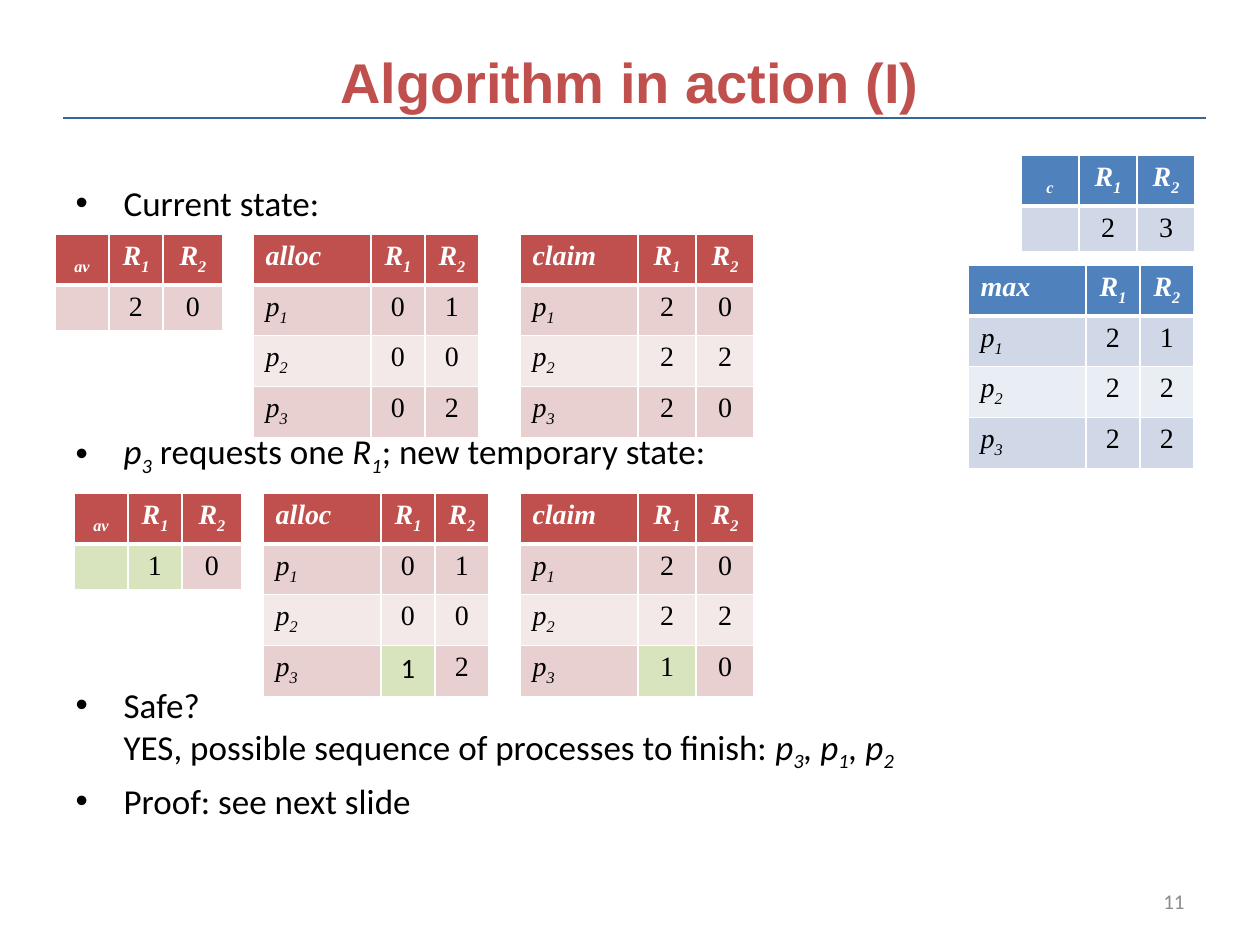
from lxml import etree
from pptx import Presentation
from pptx.dml.color import RGBColor
from pptx.enum.shapes import MSO_CONNECTOR
from pptx.enum.text import MSO_ANCHOR, MSO_AUTO_SIZE, PP_ALIGN
from pptx.oxml.ns import qn
from pptx.util import Emu, Pt

STRAIGHT = MSO_CONNECTOR.STRAIGHT
MIDDLE = MSO_ANCHOR.MIDDLE
NO_AUTOFIT = MSO_AUTO_SIZE.NONE
LEFT, CENTER, RIGHT = PP_ALIGN.LEFT, PP_ALIGN.CENTER, PP_ALIGN.RIGHT
EMU_PER_PX = 914400 / 126
COLORS = {
    "black": "000000", "white": "FFFFFF", "gray": "8C8C8C", "rule": "336699",
    "red": "C0504D", "red_dark": "E8D0D0", "red_light": "F4E9E9",
    "blue": "4F81BD", "blue_dark": "D0D8E8", "blue_light": "E9EDF4",
    "changed": "D7E4BD",
}


def px(length):
    return Emu(round(length * EMU_PER_PX))


# *...* is italic, _..._ is subscript
def add_runs(paragraph, markup, color, **formats):
    for italic_index, part in enumerate(markup.split("*")):
        for subscript_index, text in enumerate(part.split("_")):
            if not text:
                continue
            run = paragraph.add_run()
            run.text = text
            run.font.color.rgb = RGBColor.from_string(COLORS[color])
            for name, value in {**formats, "italic": italic_index % 2 == 1}.items():
                setattr(run.font, name, value)
            if subscript_index % 2:
                run.font._element.set("baseline", "-25000")


presentation = Presentation()
presentation.slide_width = px(1260)
presentation.slide_height = px(945)
slide = presentation.slides.add_slide(presentation.slide_layouts[1])

rule = slide.shapes.add_connector(STRAIGHT, px(63), px(118), px(1206), px(118))
rule.line.color.rgb = RGBColor.from_string(COLORS["rule"])
rule.line.width = Pt(1.5)
etree.SubElement(rule._element.spPr, qn("a:effectLst"))

title = slide.shapes.title
body = slide.placeholders[1]
number = slide.shapes.add_textbox(px(903), px(876), px(294), px(50))
for shape, box in (
    (title, (63, 26, 1134, 110)),
    (body, (63, 175, 1134, 714)),
):
    shape.left, shape.top, shape.width, shape.height = map(px, box)
    shape.text_frame.auto_size = NO_AUTOFIT

for shape, text, alignment, color, formats in (
    (title, "Algorithm in action (I)", CENTER, "red",
     {"name": "Arial", "size": Pt(32), "bold": True}),
    (number, "11", RIGHT, "gray", {"name": "Calibri", "size": Pt(12)}),
):
    shape.text_frame.word_wrap = True
    shape.text_frame.vertical_anchor = MIDDLE
    paragraph = shape.text_frame.paragraphs[0]
    paragraph.alignment = alignment
    add_runs(paragraph, text, color, **formats)

BULLETS = [
    (7, ["Current state:"]),
    (206, ["*p_3_* requests one *R_1_*; new temporary state:"]),
    (206, ["Safe? ",
           "YES, possible sequence of processes to finish: *p_3_, p_1_, p_2_*"]),
    (7, ["Proof: see next slide"]),
]
for index, (space, lines) in enumerate(BULLETS):
    frame = body.text_frame
    paragraph = frame.add_paragraph() if index else frame.paragraphs[0]
    paragraph.space_before = px(space)
    properties = paragraph._p.get_or_add_pPr()
    properties.set("marL", str(px(48)))
    properties.set("indent", str(px(-48)))
    etree.SubElement(properties, qn("a:buFont"), typeface="Arial")
    etree.SubElement(properties, qn("a:buChar"), char="•")
    for line_index, line in enumerate(lines):
        if line_index:
            paragraph.add_line_break()
        add_runs(paragraph, line, "black", name="Calibri", size=Pt(20))

ROW_HEIGHT = 46
VECTOR, MATRIX, WIDE_MATRIX = (54, 54, 60), (118, 54, 54), (118, 58, 58)
TABLES = [
    ("_c_", "blue", 1021, 155, (58, 58, 58), ["23"], []),
    ("max", "blue", 968, 265, MATRIX, ["21", "22", "22"], []),
    ("_av_", "red", 55, 234, VECTOR, ["20"], []),
    ("alloc", "red", 253, 234, MATRIX, ["01", "00", "02"], []),
    ("claim", "red", 520, 234, WIDE_MATRIX, ["20", "22", "20"], []),
    ("_av_", "red", 74, 493, VECTOR, ["10"], [(1, 0), (1, 1)]),
    ("alloc", "red", 263, 493, MATRIX, ["01", "00", "12"], [(3, 1)]),
    ("claim", "red", 520, 493, WIDE_MATRIX, ["20", "22", "10"], [(3, 1)]),
]
for name, hue, left, top, widths, values, changed in TABLES:
    is_vector = len(values) == 1
    rows = [[f"*{name}*", "*R_1_*", "*R_2_*"]]
    for process, digits in enumerate(values, 1):
        rows.append(["" if is_vector else f"*p_{process}_*", *digits])
    table = slide.shapes.add_table(
        len(rows), 3, px(left), px(top), px(sum(widths)), px(ROW_HEIGHT * len(rows))
    ).table
    for column, width in zip(table.columns, widths):
        column.width = px(width)
    for row_index, row in enumerate(rows):
        table.rows[row_index].height = px(ROW_HEIGHT)
        is_header = row_index == 0
        for column_index, markup in enumerate(row):
            cell = table.cell(row_index, column_index)
            position = (row_index, column_index)
            thick_side = {0: "lnB", 1: "lnT"}.get(row_index)
            for side in ("lnL", "lnR", "lnT", "lnB"):
                width = Pt(3 if side == thick_side else 1)
                border = etree.SubElement(cell._tc.get_or_add_tcPr(), qn(f"a:{side}"), w=str(width))
                fill = etree.SubElement(border, qn("a:solidFill"))
                etree.SubElement(fill, qn("a:srgbClr"), val=COLORS["white"])
            shade = hue if is_header else hue + ("_dark" if row_index % 2 else "_light")
            cell.fill.solid()
            cell.fill.fore_color.rgb = RGBColor.from_string(
                COLORS["changed" if position in changed else shade])
            paragraph = cell.text_frame.paragraphs[0]
            paragraph.alignment = CENTER if column_index or is_vector else LEFT
            is_calibri = name == "alloc" and position in changed
            add_runs(paragraph, markup, "white" if is_header else "black",
                     name="Calibri" if is_calibri else "Times New Roman",
                     size=Pt(16), bold=is_header)
            if not markup:
                etree.SubElement(paragraph._p, qn("a:endParaRPr"), sz="1600")

presentation.save("out.pptx")
